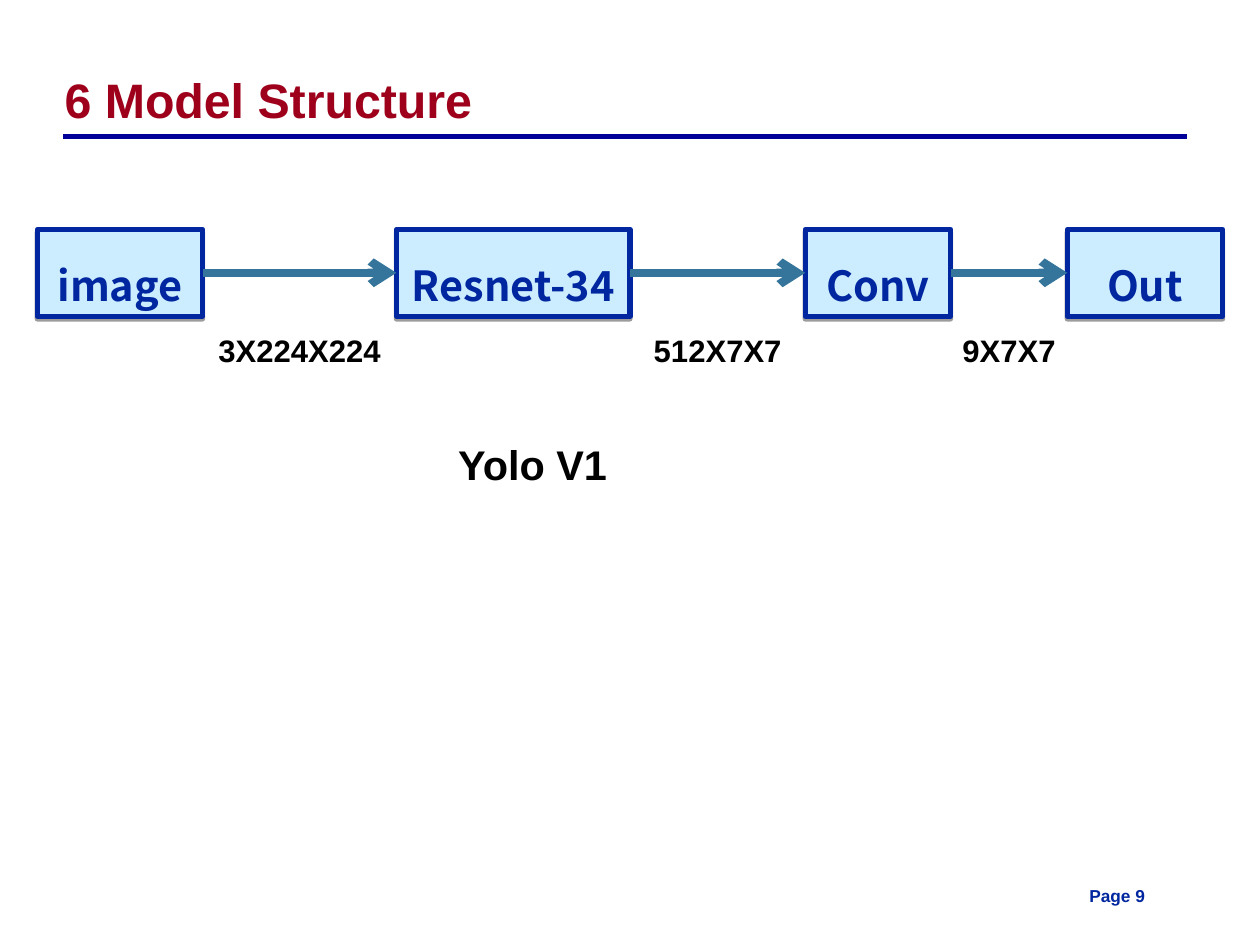
import pptx
import pptx.dml.color
import pptx.enum.shapes
import pptx.enum.text
import pptx.oxml
import pptx.oxml.ns
import pptx.util
from dataclasses import dataclass


@dataclass(frozen=True)
class Theme:
    red: str = "9E001B"
    rule: str = "000099"
    navy: str = "00279F"
    pale: str = "CCECFF"
    arrow: str = "35759B"
    black: str = "000000"
    latin: str = "Arial"
    stage: str = "Noto Sans CJK SC"
    title_size: int = 28
    large: int = 24
    label: int = 18
    small: int = 10


theme = Theme()
rgb = pptx.dml.color.RGBColor.from_string
align = pptx.enum.text.PP_ALIGN
autosize = pptx.enum.text.MSO_AUTO_SIZE
straight = pptx.enum.shapes.MSO_CONNECTOR.STRAIGHT
namespace = pptx.oxml.ns.nsdecls("a")

deck = pptx.Presentation()
deck.slide_width = pptx.util.Inches(10.14)
deck.slide_height = pptx.util.Inches(7.6)
page = deck.slides.add_slide(deck.slide_layouts[5])


def place(left, top, width, height):
    """Turn a position on a grid of 100 columns and 100 rows into lengths."""
    column, row = deck.slide_width / 100, deck.slide_height / 100
    return [round(n) for n in (left * column, top * row, width * column, height * row)]


def write(shape, text, size, color, font=theme.latin, alignment=align.LEFT):
    """Put one bold line of text in a shape."""
    shape.text_frame.text = text
    para = shape.text_frame.paragraphs[0]
    para.alignment = alignment
    span = para.runs[0]
    span.font.name = font
    span.font.size = pptx.util.Pt(size)
    span.font.bold = True
    span.font.color.rgb = rgb(color)
    return para


# Title
title = page.shapes.title
title.left, title.top, title.width, title.height = place(4.14, 4.34, 89.15, 10)
title.text_frame.vertical_anchor = pptx.enum.text.MSO_ANCHOR.BOTTOM
title.text_frame.auto_size = autosize.NONE
write(title, "6 Model Structure", theme.title_size, theme.red).line_spacing = 0.87

# Rule under the title
left, top, width, _ = place(5.03, 14.47, 89.15, 0)
rule = page.shapes.add_connector(straight, left, top, left + width, top)
rule.line.color.rgb = rgb(theme.rule)
rule.line.width = pptx.util.Pt(3)
rule._element.spPr.append(pptx.oxml.parse_xml(f"<a:effectLst {namespace}/>"))

# Stages of the model: name, first column, columns wide
stages = [
    ("image", 2.96, 13.12),
    ("Resnet-34", 31.46, 18.54),
    ("Conv", 63.91, 11.54),
    ("Out", 84.71, 12.33),
]
boxes = []
for name, first, columns in stages:
    box = page.shapes.add_shape(
        pptx.enum.shapes.MSO_SHAPE.RECTANGLE, *place(first, 24.3, columns, 9.21)
    )
    box.fill.solid()
    box.fill.fore_color.rgb = rgb(theme.pale)
    box.line.color.rgb = rgb(theme.navy)
    box.line.width = pptx.util.Pt(3)
    box.shadow.inherit = False
    box._element.spPr.find(pptx.oxml.ns.qn("a:effectLst")).append(pptx.oxml.parse_xml(
        f'<a:outerShdw {namespace} blurRad="0" dist="20320" dir="5400000" rotWithShape="0">'
        f'<a:srgbClr val="{theme.black}"><a:alpha val="38000"/></a:srgbClr></a:outerShdw>'
    ))
    box.text_frame.vertical_anchor = pptx.enum.text.MSO_ANCHOR.TOP
    box.text_frame.auto_size = autosize.SHAPE_TO_FIT_TEXT
    para = write(box, name, theme.large, theme.navy, theme.stage, align.CENTER)
    para.line_spacing = 1.5
    boxes.append(box)

# Arrows between the stages, each with its tensor size centred below the gap
sizes = ["3X224X224", "512X7X7", "9X7X7"]
_, label_top, _, label_height = place(0, 34.45, 0, 5.26)
for source, target, size in zip(boxes, boxes[1:], sizes):
    arrow = page.shapes.add_connector(straight, 0, 0, 0, 0)
    arrow.begin_connect(source, 3)
    arrow.end_connect(target, 1)
    arrow.line.color.rgb = rgb(theme.arrow)
    arrow.line.width = pptx.util.Pt(4.75)
    arrow.line._get_or_add_ln().append(
        pptx.oxml.parse_xml(f'<a:tailEnd {namespace} type="arrow"/>')
    )
    arrow._element.spPr.append(pptx.oxml.parse_xml(f"<a:effectLst {namespace}/>"))

    gap_start = source.left + source.width
    label = page.shapes.add_textbox(
        gap_start, label_top, target.left - gap_start, label_height
    )
    # Without side margins the whole gap is free for the text
    label.text_frame.margin_left = label.text_frame.margin_right = 0
    label.text_frame.word_wrap = False
    label.text_frame.auto_size = autosize.SHAPE_TO_FIT_TEXT
    write(label, size, theme.label, theme.black, alignment=align.CENTER)

# Caption and page number
notes = [
    ("Yolo V1", theme.large, theme.black, (35.4, 45.92, 15.38, 6.58)),
    ("Page 9", theme.small, theme.navy, (85.5, 93.16, 7.4, 3.55)),
]
for text, size, color, area in notes:
    note = page.shapes.add_textbox(*place(*area))
    note.text_frame.word_wrap = True
    write(note, text, size, color)

deck.save("out.pptx")
